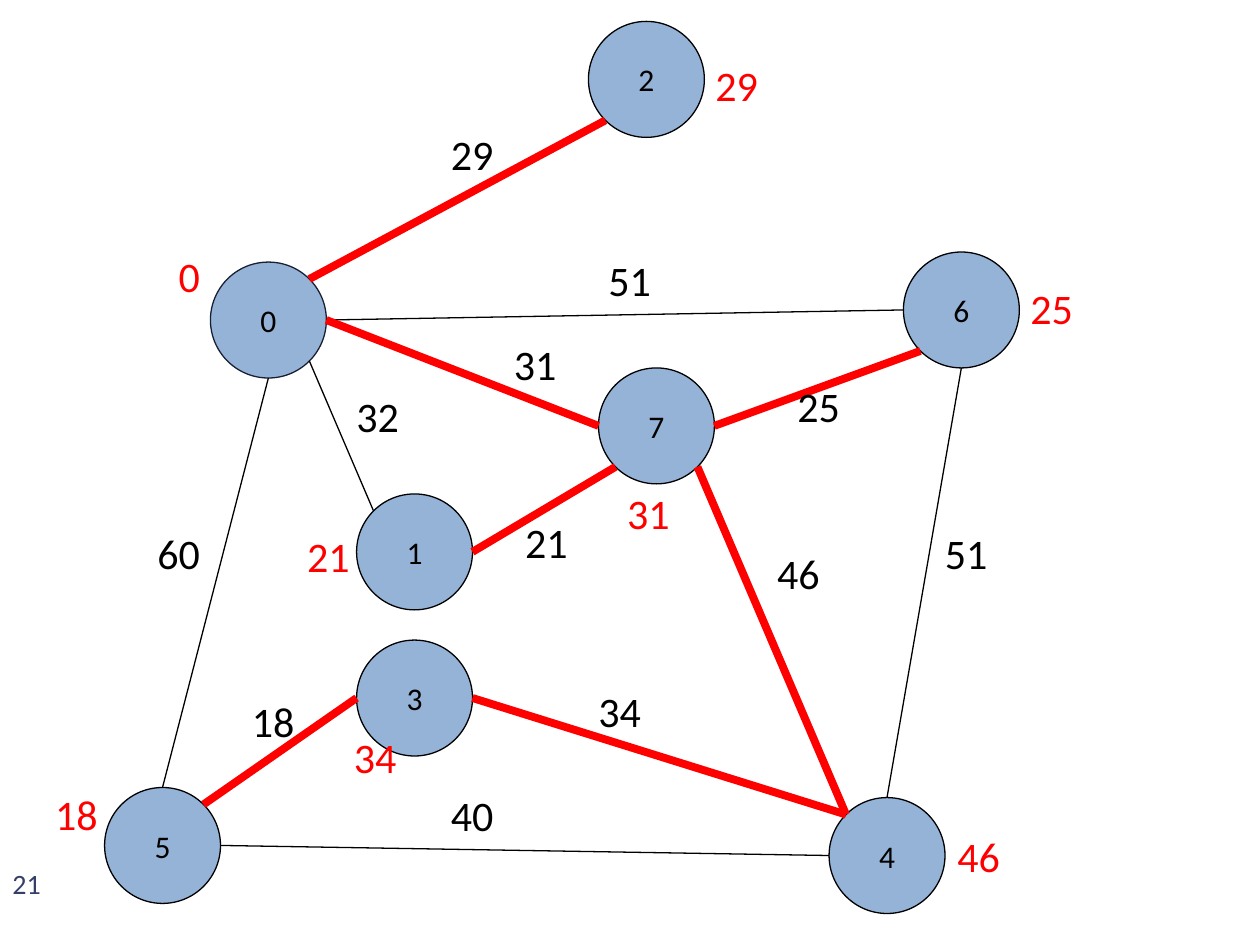
from dataclasses import dataclass
from enum import Enum
from math import cos, radians, sin

from lxml import etree
from pptx import Presentation
from pptx.dml.color import RGBColor
from pptx.enum.shapes import MSO_CONNECTOR, MSO_SHAPE
from pptx.enum.text import MSO_ANCHOR, MSO_AUTO_SIZE, PP_ALIGN
from pptx.oxml.ns import qn
from pptx.util import Inches, Pt

BLACK = RGBColor(0x00, 0x00, 0x00)
RED = RGBColor(0xFF, 0x00, 0x00)
NODE_FILL = RGBColor(0x95, 0xB3, 0xD7)
START_LINE = RGBColor(0x1A, 0x20, 0x34)
NUMBER_COLOR = RGBColor(0x34, 0x40, 0x68)

ELLIPSE = MSO_SHAPE.OVAL
STRAIGHT = MSO_CONNECTOR.STRAIGHT
CENTER = PP_ALIGN.CENTER
MIDDLE = MSO_ANCHOR.MIDDLE
FIT_SHAPE = MSO_AUTO_SIZE.SHAPE_TO_FIT_TEXT

FONT_NAME = "Calibri"
DIAMETER = 0.92
THIN, THICK = Pt(0.75), Pt(4.5)
LABEL_HEIGHT = 0.5
LABEL_INSETS = 0.2
DIGIT_WIDTH = 0.17


class Site(Enum):
    """Connection sites of a circle, as clockwise angles from its right side."""
    RIGHT = 0
    BOTTOM_RIGHT = 45
    BOTTOM = 90
    BOTTOM_LEFT = 135
    LEFT = 180
    TOP = 270
    TOP_RIGHT = 315
    TOP_LEFT = 225


@dataclass(frozen=True)
class Label:
    text: str
    left: float
    top: float


@dataclass(frozen=True)
class Node:
    left: float
    top: float
    key: Label
    line_color: RGBColor = BLACK

    def site_position(self, site: Site) -> tuple:
        radius = DIAMETER / 2
        angle = radians(site.value)
        return (Inches(self.left + radius + radius * cos(angle)),
                Inches(self.top + radius + radius * sin(angle)))


@dataclass(frozen=True)
class Edge:
    start: str
    start_site: Site
    end: str
    end_site: Site
    weight: Label
    in_tree: bool = False


NODES = {
    "0": Node(1.67, 2.08, Label("0", 1.32, 1.94), START_LINE),
    "4": Node(6.58, 6.33, Label("46", 7.5, 6.54)),
    "3": Node(2.83, 5.08, Label("34", 2.71, 5.76)),
    "5": Node(0.83, 6.25, Label("18", 0.34, 6.21)),
    "1": Node(2.83, 3.92, Label("21", 2.34, 4.16)),
    "7": Node(4.75, 2.92, Label("31", 4.88, 3.82)),
    "6": Node(7.17, 2, Label("25", 8.08, 2.19)),
    "2": Node(4.67, 0.17, Label("29", 5.58, 0.42)),
}

EDGES = [
    Edge("0", Site.TOP_RIGHT, "2", Site.BOTTOM_LEFT, Label("29", 3.48, 0.97), True),
    Edge("0", Site.RIGHT, "6", Site.LEFT, Label("51", 4.73, 1.97)),
    Edge("0", Site.RIGHT, "7", Site.LEFT, Label("31", 3.98, 2.64), True),
    Edge("0", Site.BOTTOM_RIGHT, "1", Site.TOP_LEFT, Label("32", 2.73, 3.05)),
    Edge("0", Site.BOTTOM, "5", Site.TOP, Label("60", 1.15, 4.14)),
    Edge("5", Site.TOP_RIGHT, "3", Site.LEFT, Label("18", 1.9, 5.47), True),
    Edge("3", Site.RIGHT, "4", Site.TOP_LEFT, Label("34", 4.65, 5.39), True),
    Edge("5", Site.RIGHT, "4", Site.LEFT, Label("40", 3.48, 6.22)),
    Edge("1", Site.RIGHT, "7", Site.BOTTOM_LEFT, Label("21", 4.07, 4.05), True),
    Edge("7", Site.RIGHT, "6", Site.BOTTOM_LEFT, Label("25", 6.23, 2.97), True),
    Edge("7", Site.BOTTOM_RIGHT, "4", Site.TOP_LEFT, Label("46", 6.07, 4.3), True),
    Edge("6", Site.BOTTOM, "4", Site.TOP, Label("51", 7.4, 4.14)),
]


def set_attributes(target, values: dict) -> None:
    for name, value in values.items():
        setattr(target, name, value)


def write_text(shape, text: str, size: int, color: RGBColor, frame_format: dict) -> None:
    set_attributes(shape.text_frame, frame_format)
    run = shape.text_frame.paragraphs[0].add_run()
    run.text = text
    set_attributes(run.font, {"name": FONT_NAME, "size": Pt(size)})
    run.font.color.rgb = color


def draw_node(slide, name: str, node: Node) -> None:
    shape = slide.shapes.add_shape(ELLIPSE, Inches(node.left), Inches(node.top),
                                   Inches(DIAMETER), Inches(DIAMETER))
    shape.shadow.inherit = False
    shape.fill.solid()
    shape.fill.fore_color.rgb = NODE_FILL
    shape.line.color.rgb = node.line_color
    shape.line.width = THIN
    write_text(shape, name, 18, BLACK, {"word_wrap": False, "vertical_anchor": MIDDLE})
    shape.text_frame.paragraphs[0].alignment = CENTER


def draw_edge(slide, edge: Edge) -> None:
    connector = slide.shapes.add_connector(
        STRAIGHT,
        *NODES[edge.start].site_position(edge.start_site),
        *NODES[edge.end].site_position(edge.end_site))
    connector.line.color.rgb = RED if edge.in_tree else BLACK
    connector.line.width = THICK if edge.in_tree else THIN
    etree.SubElement(connector._element.spPr, qn("a:effectLst"))


def draw_label(slide, label: Label, color: RGBColor) -> None:
    width = LABEL_INSETS + DIGIT_WIDTH * len(label.text)
    box = slide.shapes.add_textbox(Inches(label.left), Inches(label.top),
                                   Inches(width), Inches(LABEL_HEIGHT))
    write_text(box, label.text, 24, color, {"word_wrap": False, "auto_size": FIT_SHAPE})


def draw_slide_number(slide, number: str) -> None:
    box = slide.shapes.add_textbox(Inches(0), Inches(6.83), Inches(0.58), Inches(0.42))
    write_text(box, number, 16, NUMBER_COLOR, {"word_wrap": True})


def main() -> None:
    presentation = Presentation()
    set_attributes(presentation, {"slide_width": Inches(10), "slide_height": Inches(7.5)})
    slide = presentation.slides.add_slide(presentation.slide_layouts[6])

    draw_slide_number(slide, "21")
    for name, node in NODES.items():
        draw_node(slide, name, node)
    for edge in EDGES:
        draw_edge(slide, edge)
    for edge in EDGES:
        draw_label(slide, edge.weight, BLACK)
    for node in NODES.values():
        draw_label(slide, node.key, RED)

    presentation.save("out.pptx")


if __name__ == "__main__":
    main()
